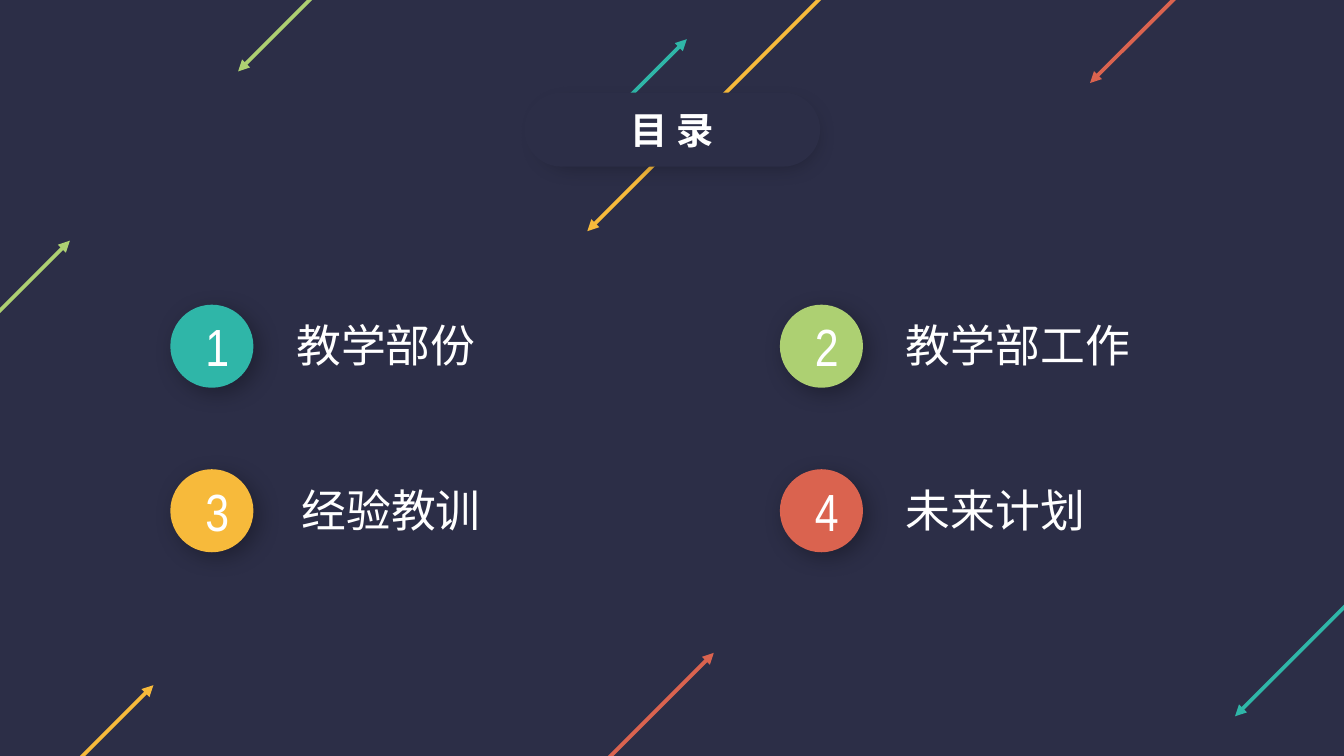
from dataclasses import dataclass

from lxml.etree import SubElement
from pptx import Presentation
from pptx.dml.color import RGBColor as Rgb
from pptx.enum.shapes import MSO_CONNECTOR as Link, MSO_SHAPE as Kind
from pptx.enum.text import MSO_ANCHOR as Anchor, MSO_AUTO_SIZE as Fit, PP_ALIGN as Align
from pptx.oxml.ns import qn
from pptx.util import Cm, Pt

HUES = {
    "night": "2C2E47",
    "teal": "2FB6A8",
    "lime": "ADD072",
    "gold": "F7BA3B",
    "red": "DA634F",
    "grass": "92D050",
    "white": "FFFFFF",
    "black": "000000",
}
HAN = "Noto Sans CJK SC"
SLIM = "Arial Narrow"


@dataclass
class Arrow:
    hue: str
    x: float
    y: float
    reach: float


@dataclass
class Item:
    text: str
    hue: str
    width: float
    shift: float = 0


ARROWS = [
    Arrow("gold", 11.1, 4.37, 5.03),
    Arrow("teal", 12.98, 0.74, -1.47),
    Arrow("lime", 4.5, 1.35, 2.21),
    Arrow("gold", 2.9, 12.95, -2.39),
    Arrow("red", 13.49, 12.34, -2.39),
    Arrow("teal", 23.34, 13.54, 2.79),
    Arrow("red", 20.6, 1.57, 2.32),
    Arrow("lime", 1.32, 4.55, -2.41),
]
ITEMS = [
    Item("教学部份", "teal", 5.41),
    Item("教学部工作", "lime", 6.81),
    Item("经验教训", "gold", 5.41, 0.1),
    Item("未来计划", "red", 6.81),
]


def tint(name: str) -> Rgb:
    return Rgb.from_string(HUES[name])


def draw_arrow(shapes, arrow: Arrow) -> None:
    line = shapes.add_connector(
        Link.STRAIGHT,
        Cm(arrow.x + arrow.reach), Cm(arrow.y - arrow.reach),
        Cm(arrow.x), Cm(arrow.y),
    )
    line.line.color.rgb = tint(arrow.hue)
    line.line.width = Pt(2)
    SubElement(line.line._get_or_add_ln(), qn("a:tailEnd"), type="triangle")
    SubElement(line._element.spPr, qn("a:effectLst"))


def draw_shape(shapes, kind: Kind, box: tuple, hue: str, shade: bool = False) -> None:
    shape = shapes.add_shape(kind, *map(Cm, box))
    if kind == Kind.ROUNDED_RECTANGLE:
        shape.adjustments[0] = 0.5
    shape.fill.solid()
    shape.fill.fore_color.rgb = tint(hue)
    shape.line.fill.background()
    shape.shadow.inherit = False
    if shade:
        glow = SubElement(
            shape._element.spPr.find(qn("a:effectLst")), qn("a:outerShdw"),
            blurRad=str(Pt(12)), dist=str(Pt(4)), dir=str(45 * 60000),
            algn="tl", rotWithShape="0",
        )
        black = SubElement(glow, qn("a:srgbClr"), val=HUES["black"])
        SubElement(black, qn("a:alpha"), val="30000")


def write(shape, text: str, *, size: int, font: str, bold: bool = False,
          align: Align = Align.LEFT, inset: float = 0.25) -> None:
    frame = shape.text_frame
    frame.word_wrap = True
    frame.auto_size = Fit.SHAPE_TO_FIT_TEXT
    frame.vertical_anchor = Anchor.TOP
    frame.margin_left = Cm(inset)
    par = frame.paragraphs[0]
    par.alignment = align
    run = par.add_run()
    run.text = text
    run.font.size = Pt(size)
    run.font.bold = bold
    run.font.color.rgb = tint("white")
    run.font.name = font
    SubElement(run._r.get_or_add_rPr(), qn("a:ea"), typeface=font)


def draw_item(shapes, rank: int, item: Item) -> None:
    row, col = divmod(rank, 2)
    left, top = 2.97 + 11.52 * col, 5.51 + 3.11 * row
    disc = shapes.add_group_shape().shapes
    draw_shape(disc, Kind.OVAL, (left, top, 2.06, 2.06), "night")
    draw_shape(disc, Kind.OVAL, (left + 0.25, top + 0.25, 1.57, 1.57), item.hue, True)
    digit = shapes.add_textbox(Cm(left + 0.66), Cm(top + 0.31), Cm(0.79), Cm(1.45))
    write(digit, str(rank + 1), size=28, font=SLIM, align=Align.CENTER)
    label = shapes.add_textbox(
        Cm(left + 2.63 + item.shift), Cm(top + 0.38), Cm(item.width), Cm(1.27)
    )
    write(label, item.text, size=24, font=HAN, inset=0)


def main() -> None:
    deck = Presentation()
    deck.slide_width, deck.slide_height = Cm(25.4), Cm(14.29)
    slide = deck.slides.add_slide(deck.slide_layouts[5])
    slide.background.fill.solid()
    slide.background.fill.fore_color.rgb = tint("night")
    shapes = slide.shapes

    for arrow in ARROWS:
        draw_arrow(shapes, arrow)

    pill = shapes.add_group_shape().shapes
    draw_shape(pill, Kind.ROUNDED_RECTANGLE, (10.13, 1.9, 5.16, 1.12), "grass", True)
    draw_shape(pill, Kind.ROUNDED_RECTANGLE, (9.91, 1.75, 5.59, 1.4), "night")

    title = shapes.title
    title.left, title.top, title.width, title.height = map(Cm, (11, 1.9, 3.4, 1.12))
    write(title, "目 录", size=20, font=HAN, bold=True, align=Align.CENTER)
    shapes._spTree.append(title._element)

    for rank, item in enumerate(ITEMS):
        draw_item(shapes, rank, item)

    deck.save("out.pptx")


if __name__ == "__main__":
    main()
